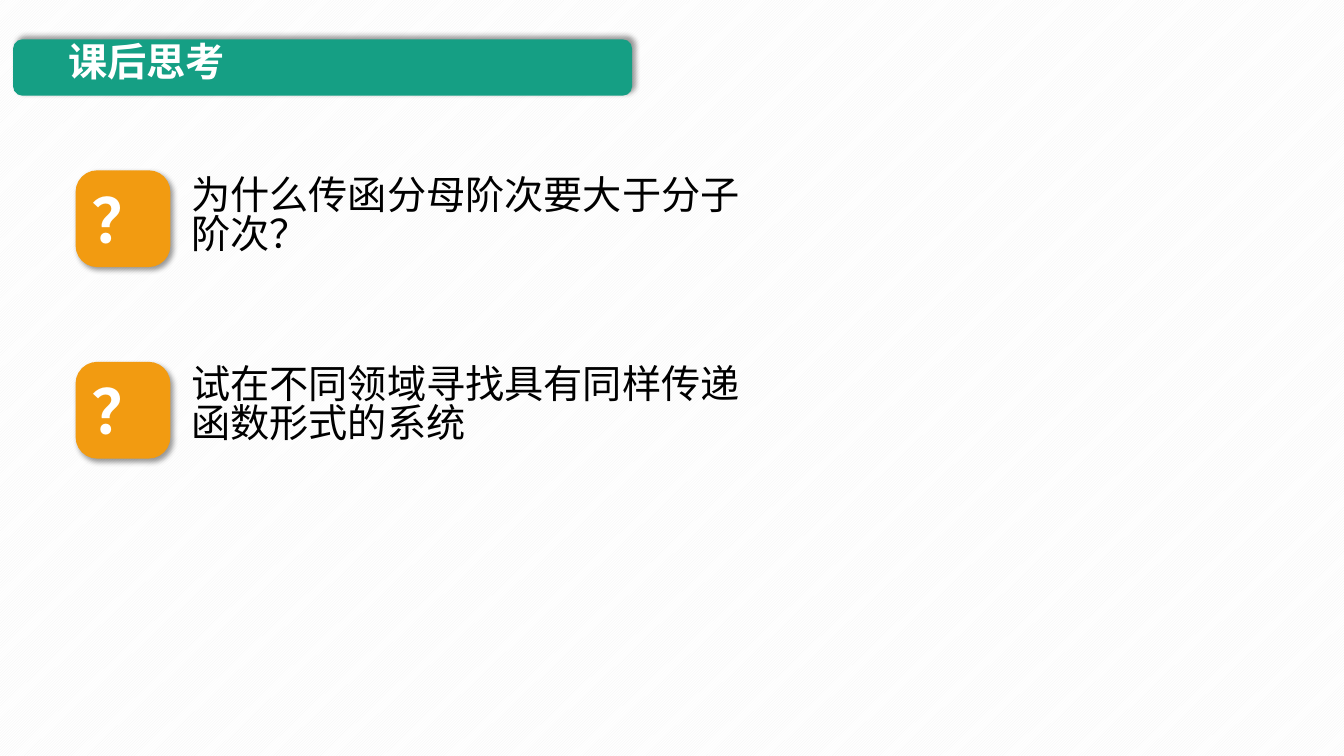
from lxml.etree import SubElement
from pptx import Presentation
from pptx.dml.color import RGBColor
from pptx.enum.dml import MSO_PATTERN
from pptx.enum.shapes import MSO_SHAPE
from pptx.enum.text import MSO_ANCHOR, PP_ALIGN
from pptx.oxml.ns import qn
from pptx.util import Emu, Pt

PX = 9144
QUESTIONS = [
    (169, 172, "为什么传函分母阶次要大于分子阶次？"),
    (359, 359, "试在不同领域寻找具有同样传递函数形式的系统"),
]


def px(*lengths):
    return [Emu(length * PX) for length in lengths]


def color(hex_string):
    return RGBColor.from_string(hex_string)


def write(shape, text, *, font="Noto Sans CJK SC", size=28, ink="000000",
          bold=False, anchor=MSO_ANCHOR.TOP, spacing=None):
    frame = shape.text_frame
    frame.word_wrap = True
    frame.vertical_anchor = anchor
    paragraph = frame.paragraphs[0]
    paragraph.alignment = PP_ALIGN.LEFT
    paragraph.line_spacing = spacing
    run = paragraph.add_run()
    run.text = text
    run.font.name = font
    run.font.size = Pt(size)
    run.font.bold = bold
    run.font.color.rgb = color(ink)
    SubElement(run.font._element, qn("a:ea"), typeface=font)


class Deck:
    green, orange, white = "159F84", "F29B11", "FFFFFF"

    def __init__(self, width, height):
        self.presentation = Presentation()
        self.presentation.slide_width, self.presentation.slide_height = px(width, height)
        self.slide = self.presentation.slides.add_slide(self.presentation.slide_layouts[6])

    def background(self, stripes, base):
        fill = self.slide.background.fill
        fill.patterned()
        fill.pattern = MSO_PATTERN.LIGHT_UPWARD_DIAGONAL
        fill.fore_color.rgb = color(stripes)
        fill.back_color.rgb = color(base)

    def tile(self, shapes, box, fill, angle, rounding=0.167):
        tile = shapes.add_shape(MSO_SHAPE.ROUNDED_RECTANGLE, *px(*box))
        tile.adjustments[0] = rounding
        tile.fill.solid()
        tile.fill.fore_color.rgb = color(fill)
        tile.line.fill.background()
        tile.shadow.inherit = False
        effects = tile._element.spPr.find(qn("a:effectLst"))
        shadow = SubElement(effects, qn("a:outerShdw"), blurRad=str(Pt(4)), dist=str(Pt(3)),
                            dir=str(angle * 60000), algn="ctr", rotWithShape="0")
        black = SubElement(shadow, qn("a:srgbClr"), val="000000")
        SubElement(black, qn("a:alpha"), val="40000")
        return tile

    def label(self, shapes, box, text, **style):
        write(shapes.add_textbox(*px(*box)), text, spacing=0.83, **style)

    def title(self, text):
        shapes = self.slide.shapes
        self.tile(shapes, (13, 39, 614, 56), self.green, 315)
        self.label(shapes, (58, 40, 537, 57), text, ink=self.white, bold=True)

    def question(self, tile_top, text_top, text):
        shapes = self.slide.shapes.add_group_shape().shapes
        badge = self.tile(shapes, (75, tile_top, 94, 96), self.orange, 45, 0.227)
        write(badge, "？", font="Calibri", size=44, ink=self.white, bold=True,
              anchor=MSO_ANCHOR.MIDDLE)
        self.label(shapes, (180, text_top, 573, 104), text)


def main():
    deck = Deck(1333, 750)
    deck.background("F2F2F2", "FFFFFF")
    deck.title("课后思考")
    for question in QUESTIONS:
        deck.question(*question)
    deck.presentation.save("out.pptx")


if __name__ == "__main__":
    main()
